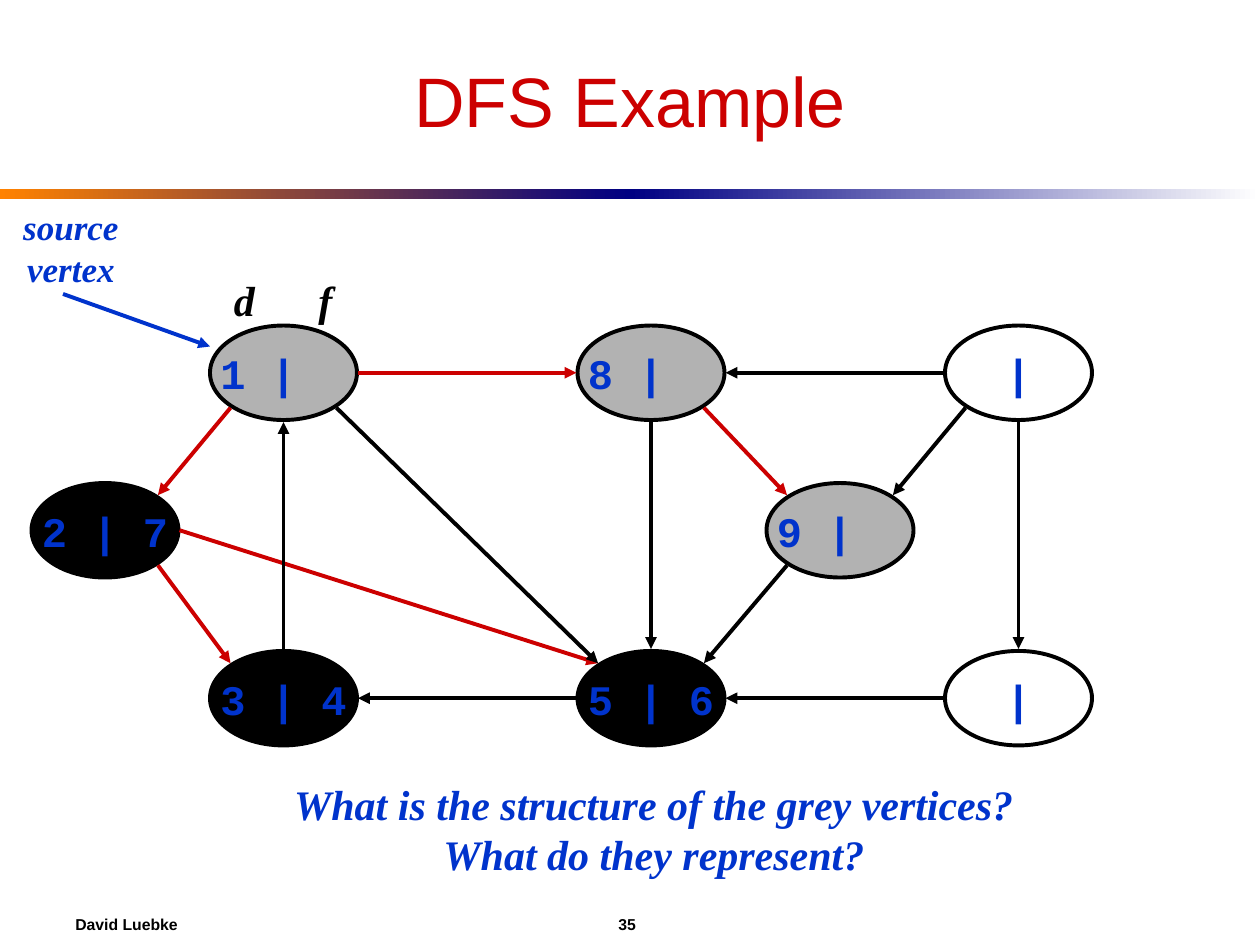
from lxml.etree import SubElement
from pptx import Presentation
from pptx.dml.color import RGBColor as RGB
from pptx.enum.shapes import MSO_CONNECTOR as LINK, MSO_SHAPE as SHAPE
from pptx.enum.text import MSO_ANCHOR as ANCHOR, PP_ALIGN as ALIGN
from pptx.oxml.ns import qn
from pptx.util import Inches, Pt

HEX = {"red": "CC0000", "blue": "0033CC", "black": "000000", "grey": "B2B2B2",
       "white": "FFFFFF", "orange": "FF8200", "navy": "000082"}
INK = {name: RGB.from_string(code) for name, code in HEX.items()}

deck = Presentation()
deck.slide_width, deck.slide_height = Inches(10), Inches(7.5)
slide = deck.slides.add_slide(deck.slide_layouts[5])
shapes = slide.shapes
U = deck.slide_width // 120  # grid: 120 columns by 90 rows


def write(shape, text, font, size, ink, bold=True, italic=False,
          align=ALIGN.CENTER, anchor=ANCHOR.MIDDLE, tab=None):
    """Fill a shape with one styled paragraph; tab is a stop in inches."""
    frame = shape.text_frame
    frame.word_wrap = False
    frame.vertical_anchor = anchor
    para = frame.paragraphs[0]
    para.text = text
    para.alignment = align
    face = para.font
    face.name, face.size, face.bold, face.italic = font, Pt(size), bold, italic
    face.color.rgb = INK[ink]
    if tab:
        stops = SubElement(para._p.get_or_add_pPr(), qn("a:tabLst"))
        # Tab stops come before the default run properties
        stops.getparent().insert(0, stops)
        SubElement(stops, qn("a:tab"), pos=str(Inches(tab)), algn="l")


def arrow(start, end, ink):
    line = shapes.add_connector(LINK.STRAIGHT, *(int(n * U) for n in start + end))
    line.line.width = Pt(2.25)
    line.line.color.rgb = INK[ink]
    SubElement(line.line._get_or_add_ln(), qn("a:tailEnd"), type="triangle")
    SubElement(line._element.spPr, qn("a:effectLst"))


# Title and the two-part rule below it
title = shapes.title
title.left, title.top, title.width, title.height = 6 * U, 3 * U, 108 * U, 13 * U
write(title, "DFS Example", "Arial", 40, "red", bold=False)

for col, pair in (0, ("orange", "navy")), (60, ("navy", "white")):
    bar = shapes.add_shape(SHAPE.RECTANGLE, col * U, 18 * U, 60 * U, U)
    bar.shadow.inherit = False
    bar.line.fill.background()
    bar.fill.gradient()
    bar.fill.gradient_angle = 0
    for stop, ink in zip(bar.fill.gradient_stops, pair):
        stop.color.rgb = INK[ink]

# Vertices: centre column and row, discovery | finish times, fill
WIDE, HIGH = 14, 9
nodes = {
    "a": (27, 35.5, "1 |", "grey"),
    "b": (62, 35.5, "8 |", "grey"),
    "c": (97, 35.5, "|", None),
    "d": (10, 50.5, "2 | 7", "black"),
    "e": (80, 50.5, "9 |", "grey"),
    "f": (27, 66.5, "3 | 4", "black"),
    "g": (62, 66.5, "5 | 6", "black"),
    "h": (97, 66.5, "|", None),
}
for x, y, times, ink in nodes.values():
    oval = shapes.add_shape(SHAPE.OVAL, int((x - WIDE / 2) * U),
                            int((y - HIGH / 2) * U), WIDE * U, HIGH * U)
    oval.shadow.inherit = False
    if ink:
        oval.fill.solid()
        oval.fill.fore_color.rgb = INK[ink]
    else:
        oval.fill.background()
    oval.line.color.rgb = INK["black"]
    oval.line.width = Pt(2.25)
    write(oval, times, "Courier New", 24, "blue")
    if times.endswith(" |"):  # keep the bar centred without a finish time
        oval.text_frame.margin_right = Inches(0.5)

# Edges leave and reach a vertex at one of eight compass points
DIAG = 0.71
ports = {"n": (0, -1), "s": (0, 1), "w": (-1, 0), "e": (1, 0),
         "nw": (-DIAG, -DIAG), "ne": (DIAG, -DIAG),
         "sw": (-DIAG, DIAG), "se": (DIAG, DIAG)}
edges = [
    ("a", "sw", "d", "ne", "red"), ("d", "se", "f", "nw", "red"),
    ("d", "e", "g", "nw", "red"), ("g", "w", "f", "e", "black"),
    ("f", "n", "a", "s", "black"), ("a", "se", "g", "nw", "black"),
    ("b", "s", "g", "n", "black"), ("a", "e", "b", "w", "red"),
    ("c", "w", "b", "e", "black"), ("b", "se", "e", "nw", "red"),
    ("c", "sw", "e", "ne", "black"), ("c", "s", "h", "n", "black"),
    ("h", "w", "g", "e", "black"), ("e", "sw", "g", "ne", "black"),
]
for tail, out, head, into, ink in edges:
    ends = []
    for node, port in (tail, out), (head, into):
        x, y = nodes[node][:2]
        dx, dy = ports[port]
        ends.append((x + dx * (WIDE / 2 + 0.1), y + dy * (HIGH / 2 + 0.2)))
    arrow(*ends, ink)
arrow((6, 28), (20, 33), "blue")

# Labels
SERIF = "Times New Roman"
source = shapes.add_textbox(U, 19 * U, Inches(0.96), Inches(0.77))
write(source, "source\vvertex", SERIF, 20, "blue", italic=True, anchor=ANCHOR.TOP)

marks = shapes.add_textbox(20 * U, 24 * U, WIDE * U, HIGH * U)
marks.text_frame.margin_left = Inches(0.19)
write(marks, "d\tf", SERIF, 24, "black", italic=True, align=ALIGN.LEFT, tab=0.67)

ask = shapes.add_textbox(Inches(2.15), Inches(6.13), Inches(6.08), Inches(0.9))
write(ask, "What is the structure of the grey vertices?\vWhat do they represent?",
      SERIF, 24, "blue", italic=True, anchor=ANCHOR.TOP)

foot = shapes.add_textbox(6 * U, 86 * U, 108 * U, 4 * U)
write(foot, "David Luebke\t35", "Arial", 9, "black", align=ALIGN.LEFT, tab=4.31)
# Keep the left edge of the two tabbed lines fixed
for box in marks, foot:
    box.text_frame.word_wrap = True

deck.save("out.pptx")
